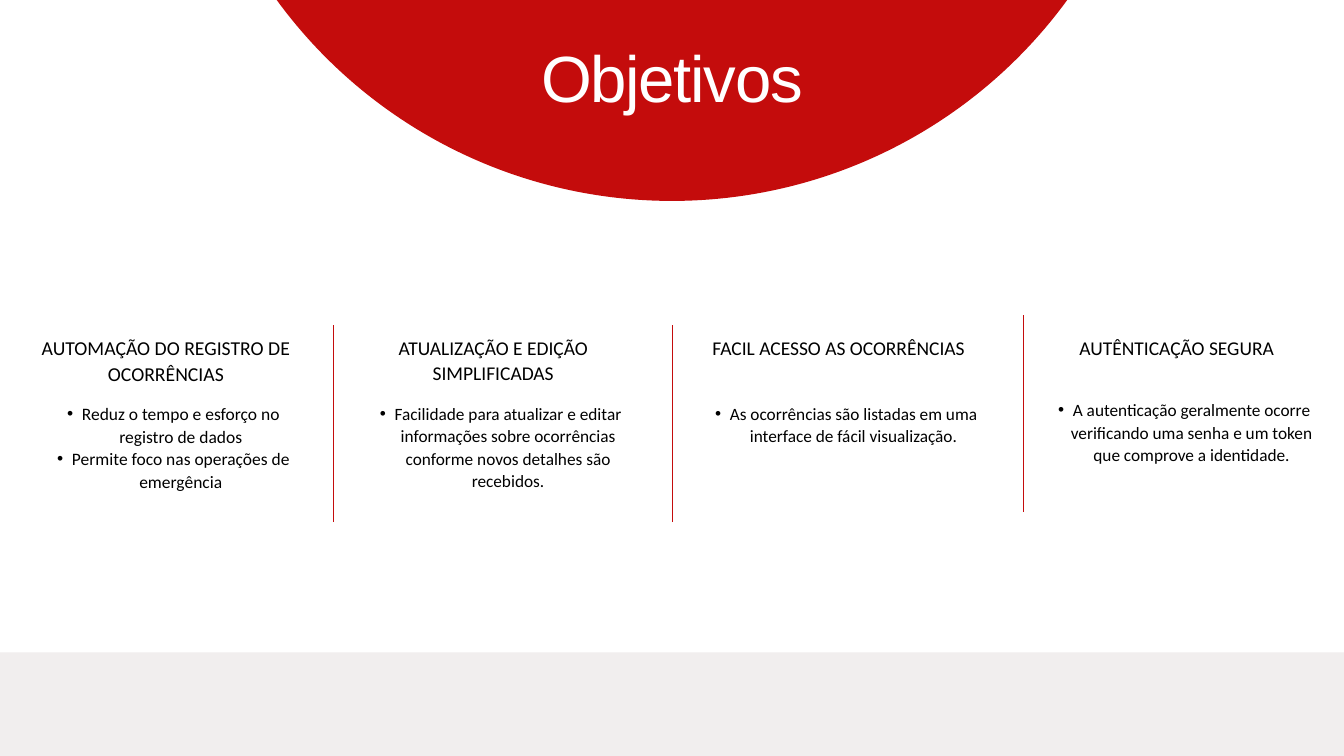
from dataclasses import dataclass

from lxml.etree import SubElement
from pptx import Presentation
from pptx.dml.color import RGBColor
from pptx.enum.shapes import MSO_CONNECTOR as Connector, MSO_SHAPE as Preset
from pptx.enum.text import PP_ALIGN as Align
from pptx.oxml.ns import qn
from pptx.util import Inches, Pt

RED = RGBColor(0xC4, 0x0C, 0x0C)
LIGHT_GREY = RGBColor(0xF1, 0xEE, 0xEE)
WHITE = RGBColor(0xFF, 0xFF, 0xFF)
BLACK = RGBColor(0x00, 0x00, 0x00)

# The slide is a grid of square cells: 20 columns by 11.25 rows.
COLUMNS, ROWS = 20, 11.25
CELL = Inches(1)
HEADING_ROW, BODY_ROW = 4.97, 5.97
DIVIDER_ROWS = 2.93
BULLET_INDENT = 0.22


@dataclass(frozen=True)
class Goal:
    left: float
    heading: str
    points: tuple[str, ...]
    width: float = 4.18
    heading_size: float = 20.9
    body_size: float = 18.5
    body_row: float = BODY_ROW


@dataclass(frozen=True)
class Divider:
    column: float
    top: float = 4.84


GOALS = (
    Goal(0.36, "AUTOMAÇÃO DO REGISTRO DE OCORRÊNCIAS",
         ("Reduz o tempo e esforço no registro de dados",
          "Permite foco nas operações de emergência"),
         width=4.22, heading_size=21.1, body_size=18.7),
    Goal(5.25, "ATUALIZAÇÃO E EDIÇÃO SIMPLIFICADAS",
         ("Facilidade para atualizar e editar informações sobre ocorrências "
          "conforme novos detalhes são recebidos.",)),
    Goal(10.39, "FACIL ACESSO AS OCORRÊNCIAS",
         ("As ocorrências são listadas em uma interface de fácil visualização.",)),
    Goal(15.42, "AUTÊNTICAÇÃO SEGURA",
         ("A autenticação geralmente ocorre verificando uma senha e um token "
          "que comprove a identidade.",), body_row=5.92),
)
DIVIDERS = (Divider(4.96), Divider(10.01), Divider(15.23, top=4.69))


def cells(count: float) -> int:
    return round(count * CELL)


def add_block(slide, preset, left: float, top: float, width: float,
              height: float, color: RGBColor) -> None:
    block = slide.shapes.add_shape(preset, *map(cells, (left, top, width, height)))
    block.shadow.inherit = False
    block.fill.solid()
    block.fill.fore_color.rgb = color
    block.line.fill.background()


def add_text(slide, paragraphs: tuple[str, ...], left: float, top: float,
             width: float, height: float, *, size: float, font: str = "Calibri",
             color: RGBColor = BLACK, leading: float = 1.3,
             tracking: float = 0, bulleted: bool = False) -> None:
    """Leading is a multiple of the size; tracking is in points."""
    box = slide.shapes.add_textbox(*map(cells, (left, top, width, height)))
    frame = box.text_frame
    frame.word_wrap = True
    frame.margin_left = frame.margin_top = frame.margin_right = frame.margin_bottom = 0
    for index, text in enumerate(paragraphs):
        paragraph = frame.add_paragraph() if index else frame.paragraphs[0]
        if bulleted:
            add_bullet(paragraph)
        paragraph.alignment = Align.CENTER
        paragraph.line_spacing = Pt(size * leading)
        run = paragraph.add_run()
        run.text = text
        run.font.size = Pt(size)
        run.font.name = font
        run.font.color.rgb = color
        if tracking:
            run.font._element.set("spc", str(round(tracking * 100)))


def add_bullet(paragraph) -> None:
    paragraph.level = 1
    properties = paragraph._p.get_or_add_pPr()
    properties.set("marL", str(cells(2 * BULLET_INDENT)))
    properties.set("indent", str(-cells(BULLET_INDENT)))
    SubElement(properties, qn("a:buFont")).set("typeface", "Arial")
    SubElement(properties, qn("a:buChar")).set("char", "•")


def add_divider(slide, divider: Divider) -> None:
    column = cells(divider.column)
    rule = slide.shapes.add_connector(
        Connector.STRAIGHT, column, cells(divider.top + DIVIDER_ROWS),
        column, cells(divider.top))
    rule.line.color.rgb = RED
    rule.line.width = Pt(0.75)
    SubElement(rule._element.spPr, qn("a:effectLst"))


def add_goal(slide, goal: Goal) -> None:
    add_text(slide, goal.points, goal.left, goal.body_row, goal.width, 1.64,
             size=goal.body_size, bulleted=True)
    add_text(slide, (goal.heading,), goal.left, HEADING_ROW, goal.width, 0.75,
             size=goal.heading_size)


def main() -> None:
    deck = Presentation()
    deck.slide_width, deck.slide_height = cells(COLUMNS), cells(ROWS)
    slide = deck.slides.add_slide(deck.slide_layouts[6])

    diameter, circle_bottom = 14.56, 2.99
    add_block(slide, Preset.OVAL, (COLUMNS - diameter) / 2,
              circle_bottom - diameter, diameter, diameter, RED)
    footer = 1.54
    add_block(slide, Preset.RECTANGLE, 0, ROWS - footer, COLUMNS, footer, LIGHT_GREY)

    title_width = 8.21
    add_text(slide, ("Objetivos",), (COLUMNS - title_width) / 2, 0.56,
             title_width, 1.15, size=70, font="Arial", color=WHITE,
             leading=1.2, tracking=-1.4)
    for goal in GOALS:
        add_goal(slide, goal)
    for divider in DIVIDERS:
        add_divider(slide, divider)
    deck.save("out.pptx")


if __name__ == "__main__":
    main()
